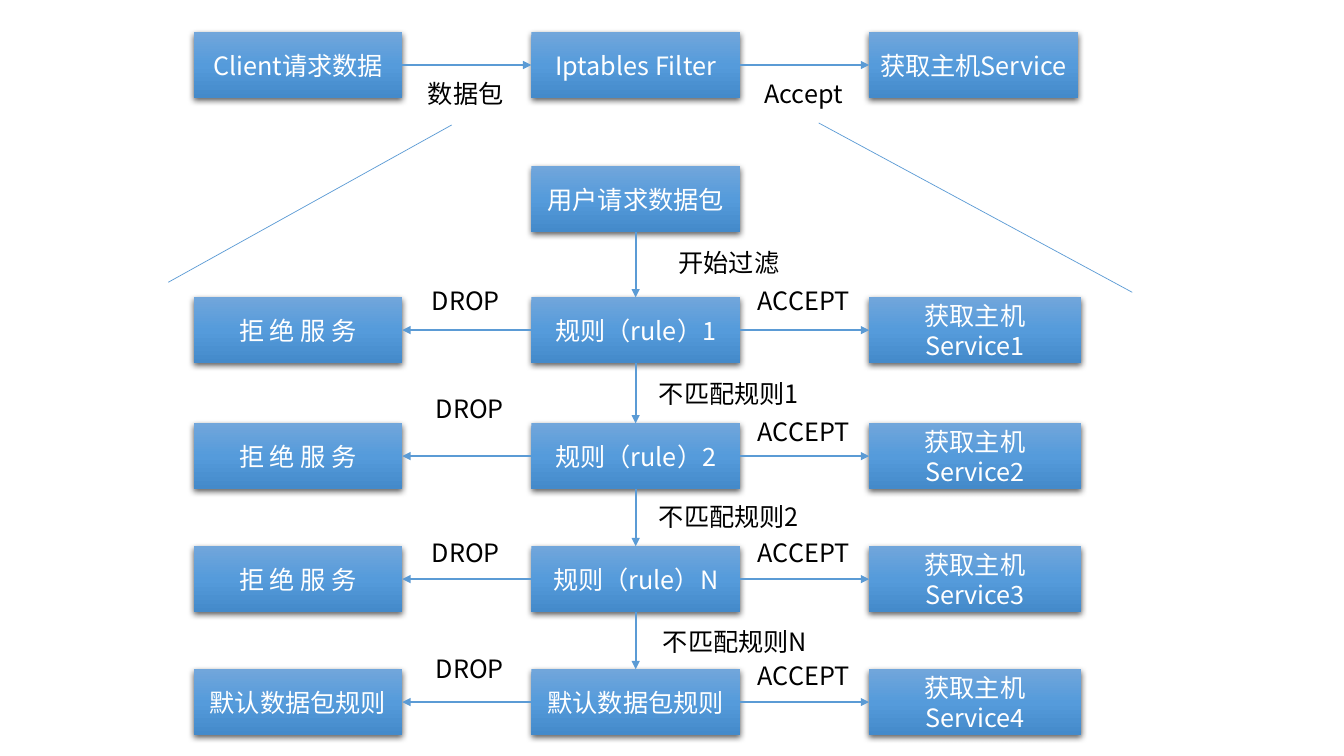
from dataclasses import dataclass

from pptx import Presentation
from pptx import util as u
from pptx.dml.color import RGBColor
from pptx.enum import shapes, text
from pptx.oxml import parse_xml
from pptx.oxml.ns import nsdecls


@dataclass(frozen=True)
class Theme:
    font: str = "Noto Sans CJK SC"
    size: int = 18
    box_text: str = "FFFFFF"
    label_text: str = "000000"
    line: str = "5B9BD5"
    gradient: tuple = ((0, "71A6DB"), (50, "559BDB"), (100, "448ACA"))


T = Theme()
COLS = [1.92 + 3.35 * c for c in range(3)]
ROWS = [0.32, 1.65, 2.95, 4.2, 5.42, 6.64]
BOX_W, BOX_H, WIDE_W = 2.07, 0.65, 2.1
LABEL_H = 0.4
GAPS = [4.06, 7.41]  # left edges of the labels between columns
GAP_W, STEP_W = 1.12, 1.7

prs = Presentation()
prs.slide_width, prs.slide_height = u.Inches(13.33), u.Inches(7.5)
s = prs.slides.add_slide(prs.slide_layouts[6])


def add_text(wording, x, y, w, h, boxed=False):
    """Add centred text, either bare or in a shaded gradient box."""
    area = [u.Inches(v) for v in (x, y, w, h)]
    if boxed:
        sp = s.shapes.add_shape(shapes.MSO_SHAPE.RECTANGLE, *area)
        stops = "".join(
            f'<a:gs pos="{pos * 1000}"><a:srgbClr val="{rgb}"/></a:gs>'
            for pos, rgb in T.gradient)
        spPr = sp._element.spPr
        spPr.append(parse_xml(
            f'<a:gradFill {nsdecls("a")} rotWithShape="1"><a:gsLst>{stops}</a:gsLst>'
            '<a:lin ang="5400000" scaled="0"/></a:gradFill>'))
        sp.line.fill.background()
        spPr.append(parse_xml(
            f'<a:effectLst {nsdecls("a")}><a:outerShdw blurRad="57150" dist="19050" '
            'dir="5400000" algn="ctr" rotWithShape="0"><a:srgbClr val="000000">'
            '<a:alpha val="63000"/></a:srgbClr></a:outerShdw></a:effectLst>'))
    else:
        sp = s.shapes.add_textbox(*area)
    tf = sp.text_frame
    tf.word_wrap = True
    if boxed:
        tf.vertical_anchor = text.MSO_ANCHOR.MIDDLE
    else:
        tf.auto_size = text.MSO_AUTO_SIZE.SHAPE_TO_FIT_TEXT
    tf.text = wording
    p = tf.paragraphs[0]
    p.alignment = text.PP_ALIGN.CENTER
    r = p.runs[0]
    r.font.name, r.font.size = T.font, u.Pt(T.size)
    r.font.color.rgb = RGBColor.from_string(T.box_text if boxed else T.label_text)
    r._r.get_or_add_rPr().append(
        parse_xml(f'<a:ea {nsdecls("a")} typeface="{T.font}"/>'))


def add_line(x1, y1, x2, y2, width=1.5, arrow=True):
    cx = s.shapes.add_connector(
        shapes.MSO_CONNECTOR.STRAIGHT, *[u.Inches(v) for v in (x1, y1, x2, y2)])
    cx.line.color.rgb = RGBColor.from_string(T.line)
    cx.line.width = u.Pt(width)
    if arrow:
        cx.line._get_or_add_ln().append(
            parse_xml(f'<a:tailEnd {nsdecls("a")} type="triangle"/>'))
    cx._element.spPr.append(parse_xml(f'<a:effectLst {nsdecls("a")}/>'))


# Boxes, row by row
box_rows = [
    ("Client请求数据", "Iptables Filter", "获取主机Service"),
    (None, "用户请求数据包", None),
    ("拒 绝 服 务", "规则（rule）1", "获取主机Service1"),
    ("拒 绝 服 务", "规则（rule）2", "获取主机Service2"),
    ("拒 绝 服 务", "规则（rule）N", "获取主机Service3"),
    ("默认数据包规则", "默认数据包规则", "获取主机Service4"),
]
for row, (y, wordings) in enumerate(zip(ROWS, box_rows)):
    for col, (x, wording) in enumerate(zip(COLS, wordings)):
        if wording:
            w = WIDE_W if col == 2 and row > 1 else BOX_W
            add_text(wording, x, y, w, BOX_H, boxed=True)

# Arrows between columns: the top row runs rightwards, rule rows run outwards
for row, y in enumerate(ROWS):
    if row == 1:
        continue
    mid = y + BOX_H / 2
    left, right = COLS[0] + BOX_W, COLS[1]
    if row > 1:
        left, right = right, left
    add_line(left, mid, right, mid)
    add_line(COLS[1] + BOX_W, mid, COLS[2], mid)

# Arrows down the middle column
center = COLS[1] + BOX_W / 2
for upper, lower in zip(ROWS[1:], ROWS[2:]):
    add_line(center, upper + BOX_H, center, lower)

# Labels over the arrows
for x, wording in zip(GAPS, ("数据包", "Accept")):
    add_text(wording, x, 0.73, GAP_W, LABEL_H)
for x, y in ((4.06, 2.78), (4.1, 3.85), (4.06, 5.28), (4.1, 6.43)):
    add_text("DROP", x, y, GAP_W, LABEL_H)
for y in (2.78, 4.08, 5.28, 6.5):
    add_text("ACCEPT", GAPS[1], y, GAP_W, LABEL_H)
for wording, x, y in (("开始过滤", 6.38, 2.4), ("不匹配规则1", 6.38, 3.7),
                      ("不匹配规则2", 6.38, 4.92), ("不匹配规则N", 6.44, 6.16)):
    add_text(wording, x, y, STEP_W, LABEL_H)

# Zoom lines from the filter to its rules
for ends in ((4.48, 1.24, 1.67, 2.8), (8.12, 1.22, 11.23, 2.9)):
    add_line(*ends, width=0.5, arrow=False)

prs.save("out.pptx")
